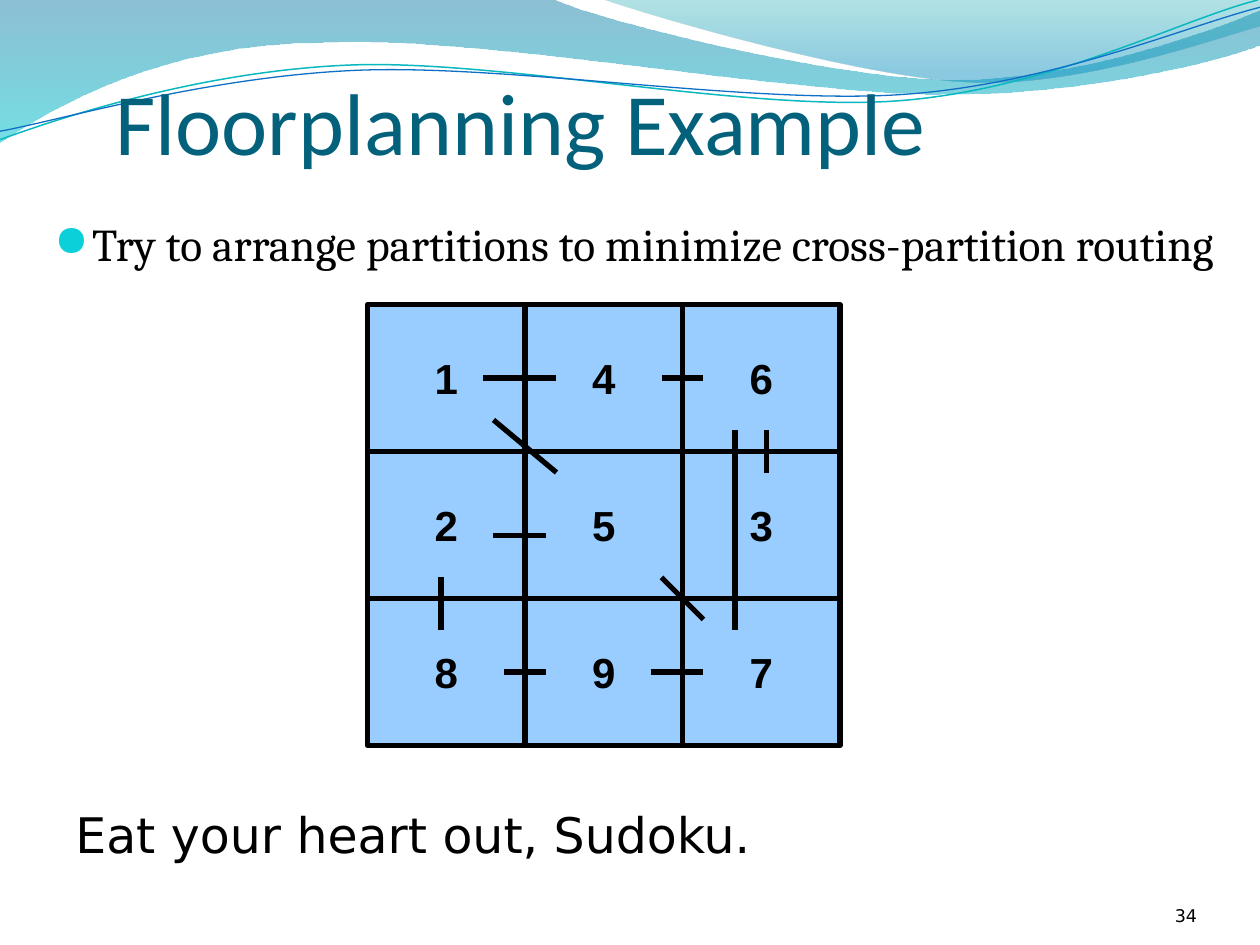
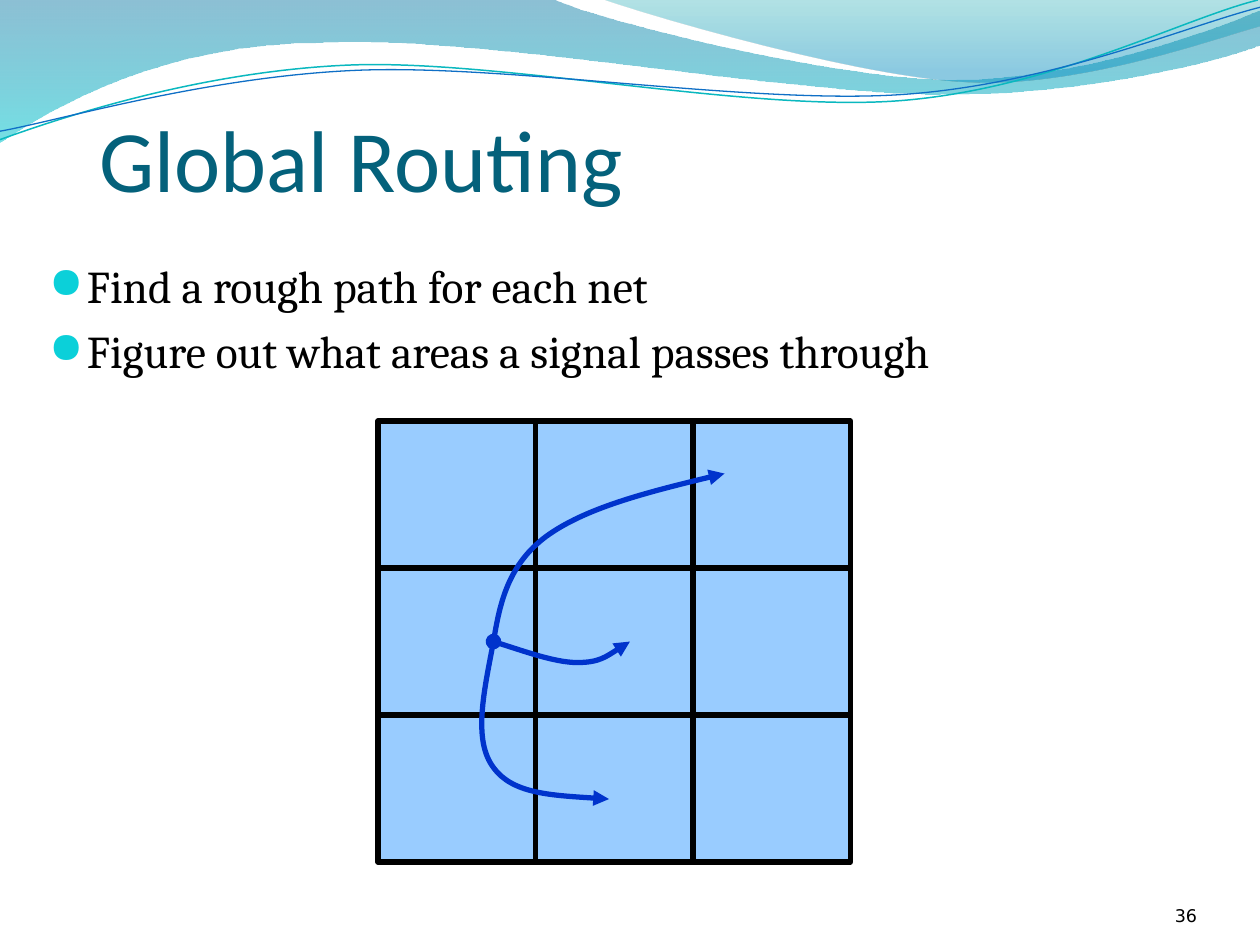
from dataclasses import dataclass
from itertools import chain

from lxml import etree
from pptx import Presentation
from pptx.dml.color import RGBColor
from pptx.enum.shapes import MSO_CONNECTOR, MSO_SHAPE
from pptx.enum.text import MSO_ANCHOR, PP_ALIGN
from pptx.oxml.ns import qn
from pptx.shapes.autoshape import Shape
from pptx.slide import Slide
from pptx.text.text import TextFrame
from pptx.util import Emu, Pt

EMU_PER_PX = 7620  # 120 px to the inch
SLIDE_WIDTH, SLIDE_HEIGHT = 1200, 900
CELL_WIDTH, CELL_HEIGHT = 150, 140
GRID_SIZE = 3
BULLET_INDENT = 36
INSET_X, INSET_Y = 12, 6

RECTANGLE = MSO_SHAPE.RECTANGLE
STRAIGHT = MSO_CONNECTOR.STRAIGHT
TOP, MIDDLE, BOTTOM = MSO_ANCHOR.TOP, MSO_ANCHOR.MIDDLE, MSO_ANCHOR.BOTTOM
LEFT, CENTER, RIGHT = PP_ALIGN.LEFT, PP_ALIGN.CENTER, PP_ALIGN.RIGHT

BLACK = RGBColor(0x00, 0x00, 0x00)
TITLE_BLUE = RGBColor(0x04, 0x61, 0x7B)
BULLET_CYAN = RGBColor(0x0B, 0xD0, 0xD9)
CELL_BLUE = RGBColor(0x99, 0xCC, 0xFF)
ROUTE_BLUE = RGBColor(0x00, 0x33, 0xCC)
WIRE_TEAL = RGBColor(0x0A, 0xB8, 0xBF)
WIRE_BLUE = RGBColor(0x0F, 0x6F, 0xC6)
BAND_BLUE = RGBColor(0x00, 0x74, 0xA1)
BAND_CYAN = RGBColor(0x00, 0xC6, 0xCF)
INSET_TEAL = RGBColor(0x00, 0xA1, 0xA9)
INSET_BLUE = RGBColor(0x00, 0x8B, 0xBF)

Point = tuple[int, int]
Step = tuple[Point, ...]  # one point: straight line; three points: cubic curve


@dataclass(frozen=True)
class Box:
    left: int
    top: int
    width: int
    height: int


@dataclass(frozen=True)
class TextStyle:
    font: str
    size: int
    color: RGBColor = BLACK
    bold: bool = False
    align: PP_ALIGN = LEFT


@dataclass(frozen=True)
class GradientStop:
    position: float
    color: RGBColor
    opacity: int


@dataclass(frozen=True)
class Band:
    start: Point
    steps: tuple[Step, ...]
    stops: tuple[GradientStop, GradientStop]


@dataclass(frozen=True)
class Curve:
    start: Point
    steps: tuple[Step, ...]
    color: RGBColor
    weight: float
    head: str = "none"
    tail: str = "none"


@dataclass(frozen=True)
class Link:
    start: Point
    end: Point


TITLE_STYLE = TextStyle("Calibri", 50, TITLE_BLUE)
BODY_STYLE = TextStyle("Cambria", 26)
NUMBER_STYLE = TextStyle("DejaVu Sans", 10, align=RIGHT)
REMARK_STYLE = TextStyle("DejaVu Sans", 28)
CELL_STYLE = TextStyle("Arial", 24, bold=True, align=CENTER)
NUMBER_BOX = Box(1040, 834, 100, 48)

BANDS = (
    Band(
        (0, 0),
        (
            ((528, 0),),
            ((571, 20), (797, 76), (910, 76)),
            ((1024, 76), (1150, 31), (1200, 10)),
            ((1200, 43),),
            ((1180, 53), (1044, 91), (895, 90)),
            ((746, 90), (458, 34), (308, 41)),
            ((155, 42), (55, 100), (0, 136)),
        ),
        (GradientStop(0, BAND_BLUE, 45), GradientStop(1, BAND_CYAN, 55)),
    ),
    Band(
        (575, 0),
        (
            ((611, 13), (818, 74), (923, 78)),
            ((1027, 83), (1153, 38), (1200, 25)),
            ((1200, 0),),
        ),
        (GradientStop(0, INSET_TEAL, 30), GradientStop(0.8, INSET_BLUE, 45)),
    ),
)
WIRES = (
    Curve(
        (0, 133),
        (
            ((58, 112), (190, 68), (332, 62)),
            ((474, 56), (712, 107), (856, 96)),
            ((1000, 85), (1126, 18), (1198, 0)),
        ),
        WIRE_TEAL, 0.85,
    ),
    Curve(
        (0, 125),
        (
            ((56, 115), (197, 73), (340, 67)),
            ((484, 61), (716, 100), (860, 90)),
            ((1003, 80), (1129, 25), (1200, 7)),
        ),
        WIRE_BLUE, 0.75,
    ),
)

PARTITIONS = "146253897"
PARTITION_LINKS = (
    Link((460, 360), (530, 360)),
    Link((530, 450), (470, 400)),
    Link((420, 550), (420, 600)),
    Link((470, 510), (520, 510)),
    Link((730, 450), (730, 410)),
    Link((630, 360), (670, 360)),
    Link((700, 410), (700, 600)),
    Link((630, 550), (670, 590)),
    Link((480, 640), (520, 640)),
    Link((620, 640), (670, 640)),
)

NET_SOURCE = (470, 611)
ROUTES = (
    Curve(
        NET_SOURCE,
        (((476, 574), (484, 538), (520, 511)), ((557, 484), (623, 467), (690, 451))),
        ROUTE_BLUE, 3, tail="triangle",
    ),
    Curve(
        NET_SOURCE,
        (((499, 620), (528, 631), (550, 631)), ((571, 631), (586, 620), (600, 611))),
        ROUTE_BLUE, 3, tail="triangle",
    ),
    Curve(
        NET_SOURCE,
        (((461, 658), (451, 706), (470, 731)), ((488, 756), (534, 758), (580, 761))),
        ROUTE_BLUE, 3, head="oval", tail="triangle",
    ),
)


def px(length: int) -> Emu:
    return Emu(length * EMU_PER_PX)


def place(box: Box) -> tuple[Emu, Emu, Emu, Emu]:
    return px(box.left), px(box.top), px(box.width), px(box.height)


def write_lines(frame: TextFrame, lines: tuple[str, ...], style: TextStyle) -> None:
    for index, line in enumerate(lines):
        paragraph = frame.add_paragraph() if index else frame.paragraphs[0]
        paragraph.alignment = style.align
        run = paragraph.add_run()
        run.text = line
        run.font.name = style.font
        run.font.size = Pt(style.size)
        run.font.bold = style.bold
        run.font.color.rgb = style.color


def add_text(
    slide: Slide, box: Box, lines: tuple[str, ...], style: TextStyle,
    anchor: MSO_ANCHOR = TOP,
    insets: tuple[int, int, int, int] = (INSET_X, INSET_Y, INSET_X, INSET_Y),
) -> TextFrame:
    """Add a wrapped text box; insets run left, top, right, bottom."""
    frame = slide.shapes.add_textbox(*place(box)).text_frame
    frame.word_wrap = True
    frame.vertical_anchor = anchor
    frame.margin_left, frame.margin_top, frame.margin_right, frame.margin_bottom = map(px, insets)
    write_lines(frame, lines, style)
    return frame


def add_bullets(slide: Slide, box: Box, lines: tuple[str, ...]) -> None:
    for paragraph in add_text(slide, box, lines, BODY_STYLE).paragraphs:
        paragraph.space_before = Pt(6)
        properties = paragraph._p.get_or_add_pPr()
        properties.set("marL", str(px(BULLET_INDENT)))
        properties.set("indent", str(-px(BULLET_INDENT)))
        color = etree.SubElement(properties, qn("a:buClr"))
        etree.SubElement(color, qn("a:srgbClr"), val=str(BULLET_CYAN))
        etree.SubElement(properties, qn("a:buSzPct"), val="95000")
        etree.SubElement(properties, qn("a:buChar"), char="●")


def add_outline(slide: Slide, start: Point, steps: tuple[Step, ...], close: bool) -> Shape:
    """Build a freeform, joining each three-point step into one cubic curve."""
    builder = slide.shapes.build_freeform(*start, scale=EMU_PER_PX)
    builder.add_line_segments(list(chain.from_iterable(steps)), close=close)
    shape = builder.convert_to_shape()
    shape.shadow.inherit = False
    segments = iter(list(shape.element.iter(qn("a:lnTo"))))
    for step in steps:
        first, *others = [next(segments) for _ in step]
        if others:
            first.tag = qn("a:cubicBezTo")
        for other in others:
            first.append(other[0])
            other.getparent().remove(other)
    return shape


def add_band(slide: Slide, band: Band) -> None:
    shape = add_outline(slide, band.start, band.steps, close=True)
    shape.line.fill.background()
    shape.fill.gradient()
    shape.fill.gradient_angle = 270
    for target, stop in zip(shape.fill.gradient_stops, band.stops):
        target.position = stop.position
        target.color.rgb = stop.color
    for color, stop in zip(shape.element.iter(qn("a:srgbClr")), band.stops):
        etree.SubElement(color, qn("a:alpha"), val=str(stop.opacity * 1000))


def add_curve(slide: Slide, curve: Curve) -> None:
    shape = add_outline(slide, curve.start, curve.steps, close=False)
    shape.fill.background()
    shape.line.color.rgb = curve.color
    shape.line.width = Pt(curve.weight)
    line = next(shape.element.iter(qn("a:ln")))
    etree.SubElement(line, qn("a:headEnd"), type=curve.head)
    etree.SubElement(line, qn("a:tailEnd"), type=curve.tail)


def add_link(slide: Slide, link: Link) -> None:
    connector = slide.shapes.add_connector(STRAIGHT, *map(px, link.start + link.end))
    connector.line.color.rgb = BLACK
    connector.line.width = Pt(3)
    etree.SubElement(connector.element.spPr, qn("a:effectLst"))


def add_grid(slide: Slide, left: int, top: int, labels: str = "") -> None:
    """Draw the square grid of cells, labelled row by row when labels are given."""
    for index in range(GRID_SIZE ** 2):
        row, column = divmod(index, GRID_SIZE)
        box = Box(left + column * CELL_WIDTH, top + row * CELL_HEIGHT, CELL_WIDTH, CELL_HEIGHT)
        cell = slide.shapes.add_shape(RECTANGLE, *place(box))
        cell.shadow.inherit = False
        cell.fill.solid()
        cell.fill.fore_color.rgb = CELL_BLUE
        cell.line.color.rgb = BLACK
        cell.line.width = Pt(3)
        if labels:
            cell.text_frame.word_wrap = False
            cell.text_frame.vertical_anchor = MIDDLE
            write_lines(cell.text_frame, (labels[index],), CELL_STYLE)


def add_base_slide(presentation: Presentation, title: str, title_box: Box, number: str) -> Slide:
    slide = presentation.slides.add_slide(presentation.slide_layouts[6])
    for band in BANDS:
        add_band(slide, band)
    for wire in WIRES:
        add_curve(slide, wire)
    add_text(slide, title_box, (title,), TITLE_STYLE, BOTTOM, (0, INSET_Y, 0, 0))
    add_text(slide, NUMBER_BOX, (number,), NUMBER_STYLE, BOTTOM, (0, 0, 0, 0))
    return slide


def add_floorplanning_slide(presentation: Presentation) -> None:
    slide = add_base_slide(presentation, "Floorplanning Example", Box(110, 35, 870, 130), "34")
    add_bullets(slide, Box(40, 200, 1140, 660),
                ("Try to arrange partitions to minimize cross-partition routing",))
    add_grid(slide, 350, 290, PARTITIONS)
    for link in PARTITION_LINKS:
        add_link(slide, link)
    add_text(slide, Box(60, 760, 1090, 68), ("Eat your heart out, Sudoku.",), REMARK_STYLE)


def add_routing_slide(presentation: Presentation) -> None:
    slide = add_base_slide(presentation, "Global Routing", Box(95, 50, 730, 150), "36")
    add_bullets(slide, Box(35, 240, 1080, 576),
                ("Find a rough path for each net", "Figure out what areas a signal passes through"))
    add_grid(slide, 360, 401)
    for route in ROUTES:
        add_curve(slide, route)


def main() -> None:
    presentation = Presentation()
    presentation.slide_width, presentation.slide_height = px(SLIDE_WIDTH), px(SLIDE_HEIGHT)
    add_floorplanning_slide(presentation)
    add_routing_slide(presentation)
    presentation.save("out.pptx")


if __name__ == "__main__":
    main()
